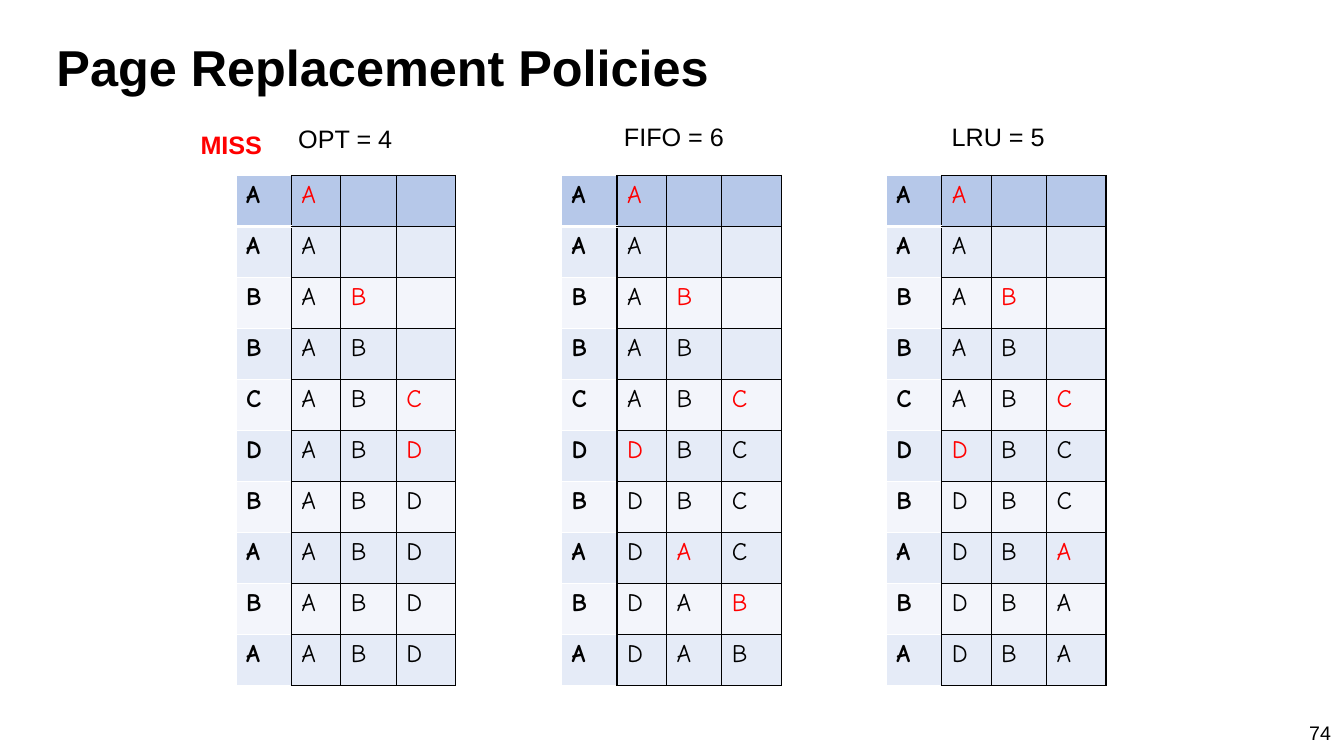
import pptx
import pptx.dml.color
import pptx.enum.text
import pptx.oxml
import pptx.util
from pptx.util import Inches

THEME = {
    "text_font": "Arial", "table_font": "Comic Neue",
    "black": "000000", "red": "FF0000", "white": "FFFFFF",
    "header": "B6C8E9", "bands": ("F3F5FB", "E5EBF7"),
    "title_size": 36, "body_size": 18, "number_size": 14,
}
ALIGN = pptx.enum.text.PP_ALIGN
ANCHOR = pptx.enum.text.MSO_ANCHOR


def write(frame, text, size=THEME["body_size"], font=THEME["text_font"],
          color=THEME["black"], bold=False, align=ALIGN.LEFT):
    para = frame.paragraphs[0]
    para.alignment = align
    span = para.add_run()
    span.text = text
    looks = {"name": font, "size": pptx.util.Pt(size), "bold": bold}
    for name, value in looks.items():
        setattr(span.font, name, value)
    span.font.color.rgb = pptx.dml.color.RGBColor.from_string(color)


def add_border(cell, side, color, width):
    line = pptx.oxml.parse_xml(
        f'<a:ln{side} xmlns:a="http://schemas.openxmlformats.org/drawingml/2006/main" '
        f'w="{pptx.util.Pt(width)}"><a:solidFill><a:srgbClr val="{color}"/>'
        f'</a:solidFill></a:ln{side}>')
    cell._tc.get_or_add_tcPr().append(line)


deck = pptx.Presentation()
deck.slide_width, deck.slide_height = Inches(13.33), Inches(7.5)
page = deck.slides.add_slide(deck.slide_layouts[5])

# Title
title = page.shapes.title
place = {"left": 0.46, "top": 0.3, "width": 12.4, "height": 0.71}
for name, value in place.items():
    setattr(title, name, Inches(value))
title.text_frame.vertical_anchor = ANCHOR.MIDDLE
write(title.text_frame, "Page Replacement Policies",
      size=THEME["title_size"], bold=True)

# Memory frames after each page reference, one table per policy
references = "AABBCDBABA"
policies = [
    (2.34, "A A AB AB ABC ABD ABD ABD ABD ABD"),
    (5.57, "A A AB AB ABC DBC DBC DAC DAB DAB"),
    (8.79, "A A AB AB ABC DBC DBC DBA DBA DBA"),
]
column_widths = [0.55, 0.49, 0.55, 0.59]
table_height = 5.06

for left, history in policies:
    grid = page.shapes.add_table(
        len(references), len(column_widths), Inches(left), Inches(1.74),
        Inches(sum(column_widths)), Inches(table_height)).table
    grid.first_row = grid.horz_banding = False
    for column, width in zip(grid.columns, column_widths):
        column.width = Inches(width)

    previous = ["", "", ""]
    for row, (reference, state) in enumerate(zip(references, history.split())):
        grid.rows[row].height = Inches(table_height / len(references))
        frames = list(state.ljust(3).replace(" ", "-"))
        frames = ["" if letter == "-" else letter for letter in frames]
        fill = THEME["bands"][row % 2] if row else THEME["header"]

        for col, letter in enumerate([reference] + frames):
            cell = grid.cell(row, col)
            is_reference = col == 0
            edge = THEME["white"] if is_reference else THEME["black"]
            bottom_width = 3 if is_reference and row == 0 else 1
            top_width = 3 if is_reference and row == 1 else 1
            add_border(cell, "L", edge, 1)
            add_border(cell, "R", THEME["black"], 1)
            add_border(cell, "T", edge, top_width)
            add_border(cell, "B", edge, bottom_width)
            cell.fill.solid()
            cell.fill.fore_color.rgb = pptx.dml.color.RGBColor.from_string(fill)
            if letter:
                # A frame that has just changed is a miss
                missed = not is_reference and letter != previous[col - 1]
                write(cell.text_frame, letter, font=THEME["table_font"],
                      color=THEME["red" if missed else "black"],
                      bold=is_reference)
        previous = frames

# Miss counts above the tables
labels = [
    ("OPT = 4", 2.86, 1.17, 1.14, "black", False),
    ("MISS", 1.89, 1.23, 0.82, "red", True),
    ("FIFO = 6", 6.09, 1.15, 1.2, "black", False),
    ("LRU = 5", 9.34, 1.15, 1.13, "black", False),
]
for text, left, top, width, color, bold in labels:
    box = page.shapes.add_textbox(
        Inches(left), Inches(top), Inches(width), Inches(0.4))
    box.text_frame.word_wrap = False
    write(box.text_frame, text, color=THEME[color], bold=bold)

# Page number
number = page.shapes.add_textbox(
    Inches(12.68), Inches(7.1), Inches(0.62), Inches(0.4))
number.text_frame.word_wrap = True
write(number.text_frame, "74", size=THEME["number_size"], align=ALIGN.RIGHT)

deck.save("out.pptx")
